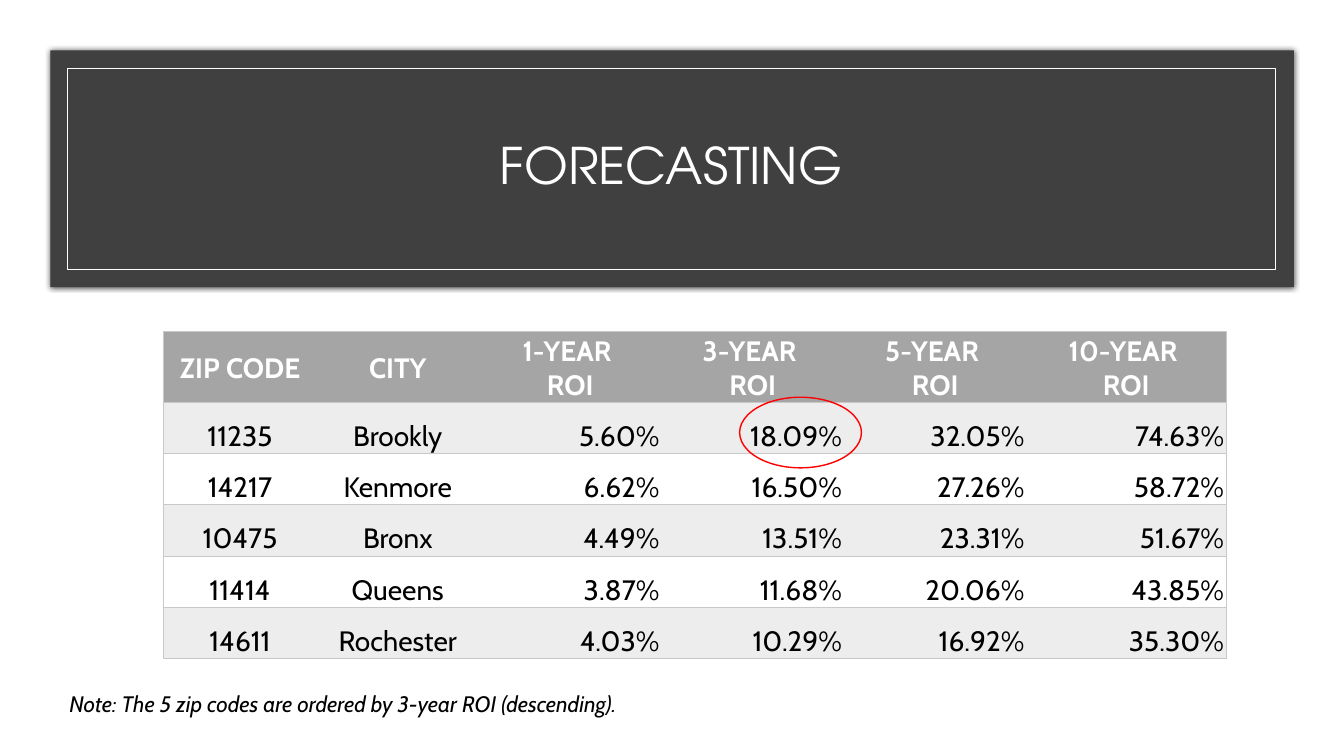
from dataclasses import dataclass

from lxml.etree import SubElement
from pptx import Presentation
from pptx.dml.color import RGBColor
from pptx.enum.shapes import MSO_SHAPE
from pptx.enum.text import MSO_ANCHOR, PP_ALIGN
from pptx.oxml import parse_xml
from pptx.oxml.ns import nsdecls, qn
from pptx.util import Cm, Pt


@dataclass(frozen=True)
class Theme:
    white: str = "FFFFFF"
    black: str = "000000"
    dark: str = "404040"
    head: str = "A5A5A5"
    band: str = "EDEDED"
    rule: str = "C9C9C9"
    mark: str = "FF0000"
    title_font: str = "TeX Gyre Adventor"
    body_font: str = "Cabin"
    title_size: int = 36
    table_size: int = 20
    note_size: int = 16


theme = Theme()


def add_text(para, text, size, color, font=theme.body_font, bold=False, italic=False):
    run = para.add_run()
    run.text = text
    run.font.size = Pt(size)
    run.font.name = font
    run.font.bold = bold
    run.font.italic = italic
    run.font.color.rgb = RGBColor.from_string(color)


def add_box(kind, left, top, width, height, fill=None, line=None, weight=0.5):
    """Add a preset shape without shadow; None means no fill or no line."""
    box = slide.shapes.add_shape(kind, Cm(left), Cm(top), Cm(width), Cm(height))
    box.shadow.inherit = False
    if fill:
        box.fill.solid()
        box.fill.fore_color.rgb = RGBColor.from_string(fill)
    else:
        box.fill.background()
    if line:
        box.line.color.rgb = RGBColor.from_string(line)
        box.line.width = Pt(weight)
    else:
        box.line.fill.background()
    return box


deck = Presentation()
deck.slide_width, deck.slide_height = Cm(33.87), Cm(19.05)
slide = deck.slides.add_slide(deck.slide_layouts[6])
slide.background.fill.solid()
slide.background.fill.fore_color.rgb = RGBColor.from_string(theme.white)

# Title banner
banner = add_box(MSO_SHAPE.RECTANGLE, 1.27, 1.27, 31.34, 5.97, fill=theme.dark)
glow = SubElement(banner._element.spPr.find(qn("a:effectLst")), qn("a:outerShdw"),
                  blurRad=str(Pt(4)), dist="0", dir="0", algn="ctr", rotWithShape="0")
shade = SubElement(glow, qn("a:srgbClr"), val=theme.black)
SubElement(shade, qn("a:alpha"), val="66000")
add_box(MSO_SHAPE.RECTANGLE, 1.71, 1.73, 30.43, 5.06, line=theme.white)

title = slide.shapes.add_textbox(Cm(2.95), Cm(2.34), Cm(27.94), Cm(3.81)).text_frame
title.word_wrap = True
title.vertical_anchor = MSO_ANCHOR.MIDDLE
para = title.paragraphs[0]
para.alignment = PP_ALIGN.CENTER
para.line_spacing = 0.9
add_text(para, "FORECASTING", theme.title_size, theme.white, theme.title_font)

# Forecast table
rows = [
    ["ZIP CODE", "CITY", "1-YEAR \nROI", "3-YEAR \nROI", "5-YEAR \nROI", "10-YEAR \nROI"],
    ["11235", "Brookly", "5.60%", "18.09%", "32.05%", "74.63%"],
    ["14217", "Kenmore", "6.62%", "16.50%", "27.26%", "58.72%"],
    ["10475", "Bronx", "4.49%", "13.51%", "23.31%", "51.67%"],
    ["11414", "Queens", "3.87%", "11.68%", "20.06%", "43.85%"],
    ["14611", "Rochester", "4.03%", "10.29%", "16.92%", "35.30%"],
]
widths = [3.86, 4.09, 4.6, 4.6, 4.6, 5.03]
heights = [1.78] + [1.29] * 5
last = len(widths) - 1

table = slide.shapes.add_table(len(rows), len(widths), Cm(4.12), Cm(8.36),
                               Cm(sum(widths)), Cm(sum(heights))).table
table.horz_banding = False
for col, width in zip(table.columns, widths):
    col.width = Cm(width)

for r, row in enumerate(rows):
    table.rows[r].height = Cm(heights[r])
    header = r == 0
    for c, text in enumerate(row):
        cell = table.cell(r, c)
        cell.margin_left = cell.margin_right = cell.margin_top = Cm(0.05)
        cell.margin_bottom = 0
        cell.vertical_anchor = MSO_ANCHOR.MIDDLE if header else MSO_ANCHOR.BOTTOM
        if header or r % 2:
            cell.fill.solid()
            cell.fill.fore_color.rgb = RGBColor.from_string(theme.head if header else theme.band)
        else:
            cell.fill.background()

        frame = cell.text_frame
        for i, line in enumerate(text.split("\n")):
            para = frame.add_paragraph() if i else frame.paragraphs[0]
            para.alignment = PP_ALIGN.CENTER if header or c < 2 else PP_ALIGN.RIGHT
            add_text(para, line, theme.table_size, theme.white if header else theme.black, bold=header)

        edges = {"lnL": c == 0, "lnR": c == last, "lnT": True, "lnB": True}
        for i, (edge, shown) in enumerate(edges.items()):
            paint = (f'<a:solidFill><a:srgbClr val="{theme.rule}"/></a:solidFill>'
                     if shown else "<a:noFill/>")
            cell._tc.tcPr.insert(i, parse_xml(
                f'<a:{edge} {nsdecls("a")} w="{Pt(0.5)}">{paint}</a:{edge}>'))

# Note and highlight
note = slide.shapes.add_textbox(Cm(1.5), Cm(17.27), Cm(30.89), Cm(0.94)).text_frame
note.word_wrap = True
add_text(note.paragraphs[0], "Note: The 5 zip codes are ordered by 3-year ROI (descending).",
         theme.note_size, theme.black, italic=True)
add_box(MSO_SHAPE.OVAL, 18.64, 10.01, 3.07, 1.78, line=theme.mark, weight=1)

deck.save("out.pptx")
